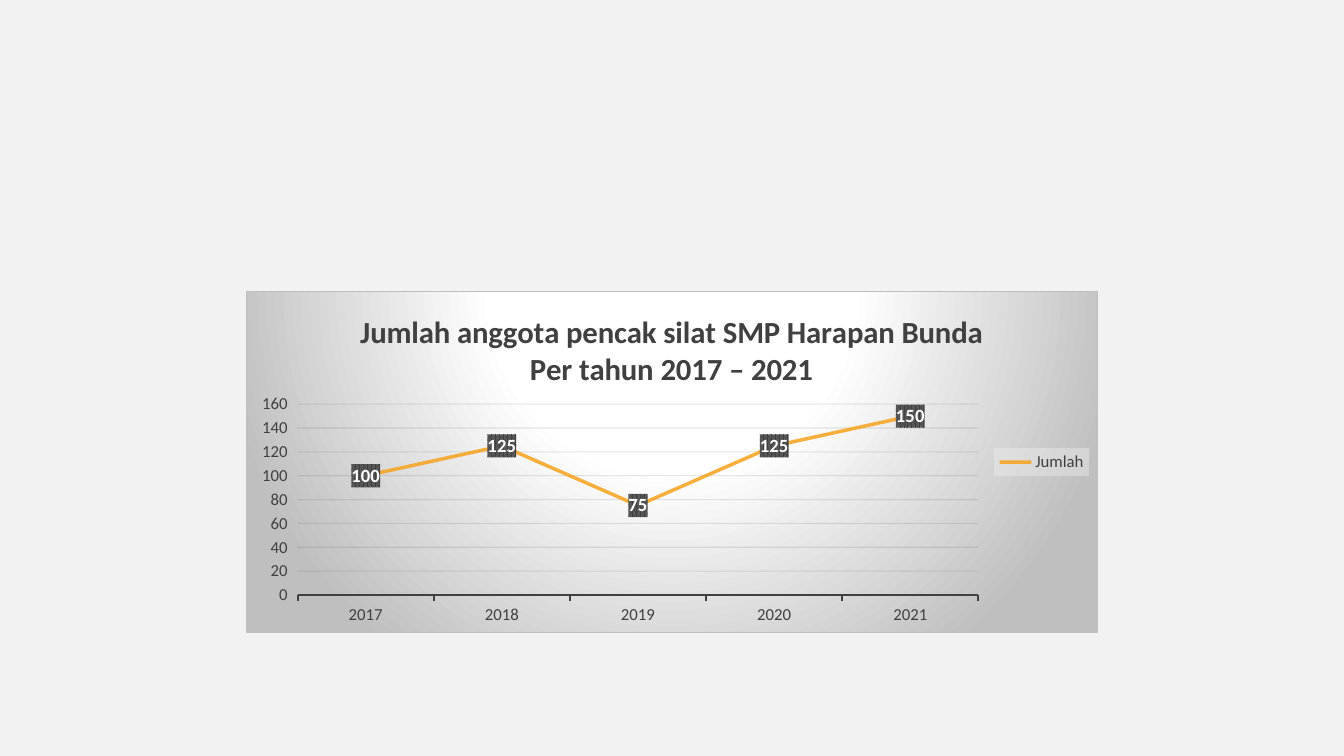
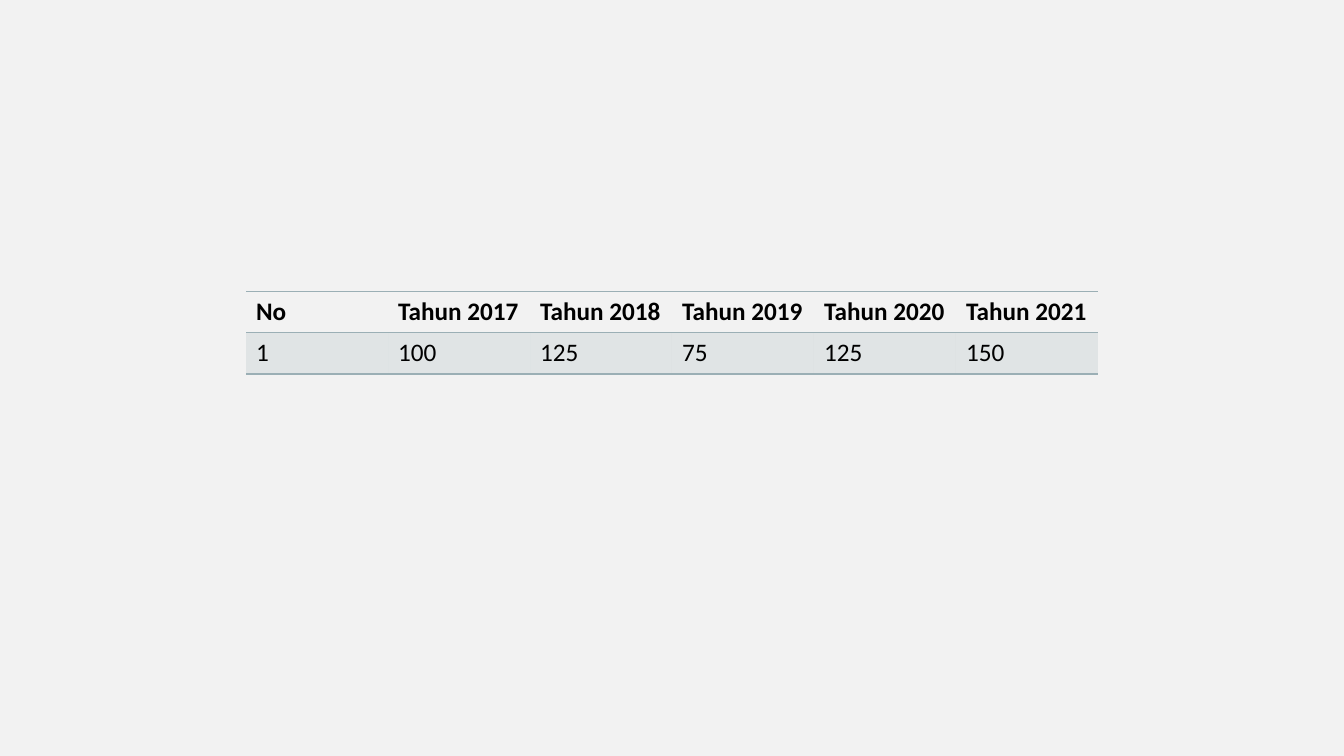
from pptx import Presentation
from pptx import util as u
from pptx.chart.data import CategoryChartData
from pptx.dml.color import RGBColor
from pptx.enum import chart as charts
from pptx.oxml import parse_xml
from pptx.oxml.ns import nsdecls

FONT = "Calibri"
PAGE_COLOUR, INK, GREY = "F2F2F2", "404040", "BFBFBF"
BLACK, WHITE, ORANGE, TEAL = "000000", "FFFFFF", "F6A21D", "9BAFB5"
YEARS = ["2017", "2018", "2019", "2020", "2021"]
MEMBERS = [100, 125, 75, 125, 150]
LEFT, TOP, WIDTH = u.Inches(2.44), u.Inches(2.89), u.Inches(8.45)
ROW_HEIGHT = u.Inches(0.41)
PLAIN_TABLE = "{2D5ABB26-0587-4C30-8999-92F81FD0307C}"


def colour(value):
    """Turn a hex string into a colour."""
    return RGBColor.from_string(value)


def style_font(font, size, value, bold=False):
    """Set the face, size, colour and weight of a font."""
    font.name, font.size, font.bold = FONT, u.Pt(size), bold
    font.color.rgb = colour(value)


def write_text(frame, text, size=18, value=BLACK, bold=False):
    """Fill a text frame, one paragraph for each line."""
    frame.text = text
    for para in frame.paragraphs:
        for span in para.runs:
            style_font(span.font, size, value, bold)


def colour_xml(value, alpha=100):
    """Describe a colour with its opacity in percent."""
    return f'<a:srgbClr val="{value}"><a:alpha val="{alpha * 1000}"/></a:srgbClr>'


def solid_xml(value, alpha=100):
    """Describe a solid fill."""
    return f"<a:solidFill>{colour_xml(value, alpha)}</a:solidFill>"


def line_xml(value, width, tag="ln"):
    """Describe a line with its width in points."""
    return f'<a:{tag} {nsdecls("a")} w="{u.Pt(width)}">{solid_xml(value)}</a:{tag}>'


def set_alpha(part, alpha):
    """Set the opacity of the only colour inside a part."""
    for tint in part.xpath(".//a:srgbClr"):
        tint.append(parse_xml(f'<a:alpha {nsdecls("a")} val="{alpha * 1000}"/>'))


def fill_chart_part(chart, query, content):
    """Give a chart part its shape properties, ahead of its text properties."""
    for text_part in chart.element.xpath(f"{query}/c:txPr"):
        text_part.addprevious(parse_xml(f'<c:spPr {nsdecls("c", "a")}>{content}</c:spPr>'))


def layout_xml(target="", **values):
    """Describe a manual layout as fractions of the chart."""
    inner = f'<c:layoutTarget val="{target}"/>' if target else ""
    modes = "".join(f'<c:{axis}Mode val="edge"/>' for axis in "xy")
    sizes = "".join(f'<c:{name} val="{value}"/>' for name, value in values.items())
    return parse_xml(
        f'<c:layout {nsdecls("c")}><c:manualLayout>{inner}{modes}{sizes}'
        "</c:manualLayout></c:layout>")


def place_chart_part(chart, query, layout):
    """Replace the layout of a chart part."""
    part = chart.element.xpath(query)[0]
    for old in part.xpath("c:layout"):
        part.remove(old)
    texts = part.xpath("c:tx")
    if texts:
        texts[0].addnext(layout)
    else:
        part.insert(0, layout)


def style_axes(chart):
    """Format the category axis, the value axis and the gridlines."""
    years, counts = chart.category_axis, chart.value_axis
    for axis in (years, counts):
        style_font(axis.tick_labels.font, 12, INK)
        axis.major_tick_mark = charts.XL_TICK_MARK.OUTSIDE
    years.has_major_gridlines = False
    years.format.line.color.rgb = colour(INK)
    years.format.line.width = u.Pt(1.5)
    counts.format.line.fill.background()
    counts.minimum_scale, counts.maximum_scale, counts.major_unit = 0, 160, 20
    grid = counts.major_gridlines.format.line
    grid.color.rgb, grid.width = colour("0D0D0D"), u.Pt(0.75)
    set_alpha(chart.element.xpath(".//c:majorGridlines")[0], 10)


def style_series(chart):
    """Format the line and its value labels."""
    plot = chart.plots[0]
    plot.vary_by_categories = False
    series = plot.series[0]
    series.smooth = False
    series.marker.style = charts.XL_MARKER_STYLE.NONE
    line = series.format.line
    line.color.rgb, line.width = colour(ORANGE), u.Pt(2.5)
    set_alpha(chart.element.xpath(".//c:ser/c:spPr")[0], 85)
    labels = series.data_labels
    labels.show_value = True
    labels.position = charts.XL_LABEL_POSITION.CENTER
    style_font(labels.font, 13.3, WHITE, bold=True)
    fill_chart_part(chart, ".//c:ser/c:dLbls", (
        f'<a:pattFill prst="pct75"><a:fgClr>{colour_xml(INK)}</a:fgClr>'
        f'<a:bgClr>{colour_xml("595959")}</a:bgClr></a:pattFill>'))


def add_member_chart(page):
    """Draw the line chart of members by year."""
    data = CategoryChartData()
    data.categories = YEARS
    data.add_series("Jumlah", MEMBERS)
    chart = page.shapes.add_chart(
        charts.XL_CHART_TYPE.LINE, LEFT, TOP, WIDTH, u.Inches(3.39), data).chart
    style_font(chart.font, 10, BLACK)
    chart.has_title = True
    write_text(chart.chart_title.text_frame,
               "Jumlah anggota pencak silat SMP Harapan Bunda\nPer tahun 2017 – 2021",
               size=22, value=INK, bold=True)
    chart.has_legend = True
    chart.legend.position = charts.XL_LEGEND_POSITION.RIGHT
    chart.legend.include_in_layout = False
    style_font(chart.legend.font, 12, INK)
    style_axes(chart)
    style_series(chart)
    fill_chart_part(chart, "c:chart/c:legend", solid_xml(PAGE_COLOUR, 39))
    stops = "".join(f'<a:gs pos="{place * 1000}">{colour_xml(value)}</a:gs>'
                    for place, value in ((0, WHITE), (39, WHITE), (100, GREY)))
    fill_chart_part(chart, ".", (
        f'<a:gradFill><a:gsLst>{stops}</a:gsLst><a:path path="circle">'
        '<a:fillToRect l="50000" t="-80000" r="50000" b="180000"/></a:path>'
        f"</a:gradFill>{line_xml(GREY, 0.75)}"))
    place_chart_part(chart, "c:chart/c:title", layout_xml(x=0.13, y=0.05))
    place_chart_part(chart, "c:chart/c:plotArea",
                     layout_xml("inner", x=0.06, y=0.33, w=0.8, h=0.56))


def add_member_table(page):
    """Draw the table of members by year."""
    rows = [["No"] + [f"Tahun {year}" for year in YEARS],
            ["1"] + [str(count) for count in MEMBERS]]
    frame = page.shapes.add_table(
        len(rows), len(rows[0]), LEFT, TOP, WIDTH, ROW_HEIGHT * len(rows))
    table = frame.table
    frame.element.xpath(".//a:tableStyleId")[0].text = PLAIN_TABLE
    for row_index, row in enumerate(rows):
        is_header = row_index == 0
        for column_index, text in enumerate(row):
            cell = table.cell(row_index, column_index)
            write_text(cell.text_frame, text, bold=is_header)
            if is_header:
                cell.fill.background()
            else:
                cell.fill.solid()
                cell.fill.fore_color.rgb = colour(TEAL)
            properties = cell.fill._xPr
            set_alpha(properties, 20)
            for index, tag in enumerate(("lnT", "lnB")):
                properties.insert(index, parse_xml(line_xml(TEAL, 1, tag)))


def main():
    """Build and save the deck."""
    deck = Presentation()
    deck.slide_width, deck.slide_height = u.Inches(13.33), u.Inches(7.5)
    background = deck.slide_master.background.fill
    background.solid()
    background.fore_color.rgb = colour(PAGE_COLOUR)
    for add_content in (add_member_chart, add_member_table):
        add_content(deck.slides.add_slide(deck.slide_layouts[6]))
    deck.save("out.pptx")


if __name__ == "__main__":
    main()
